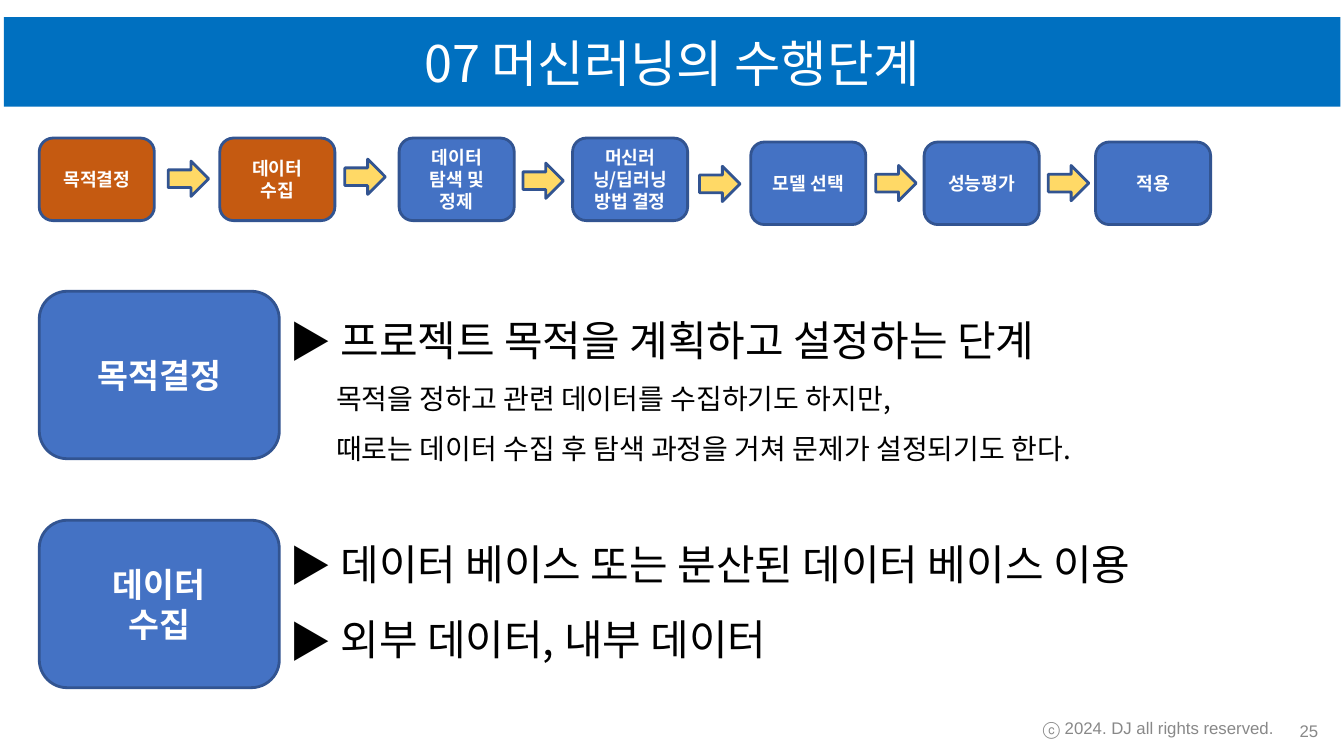
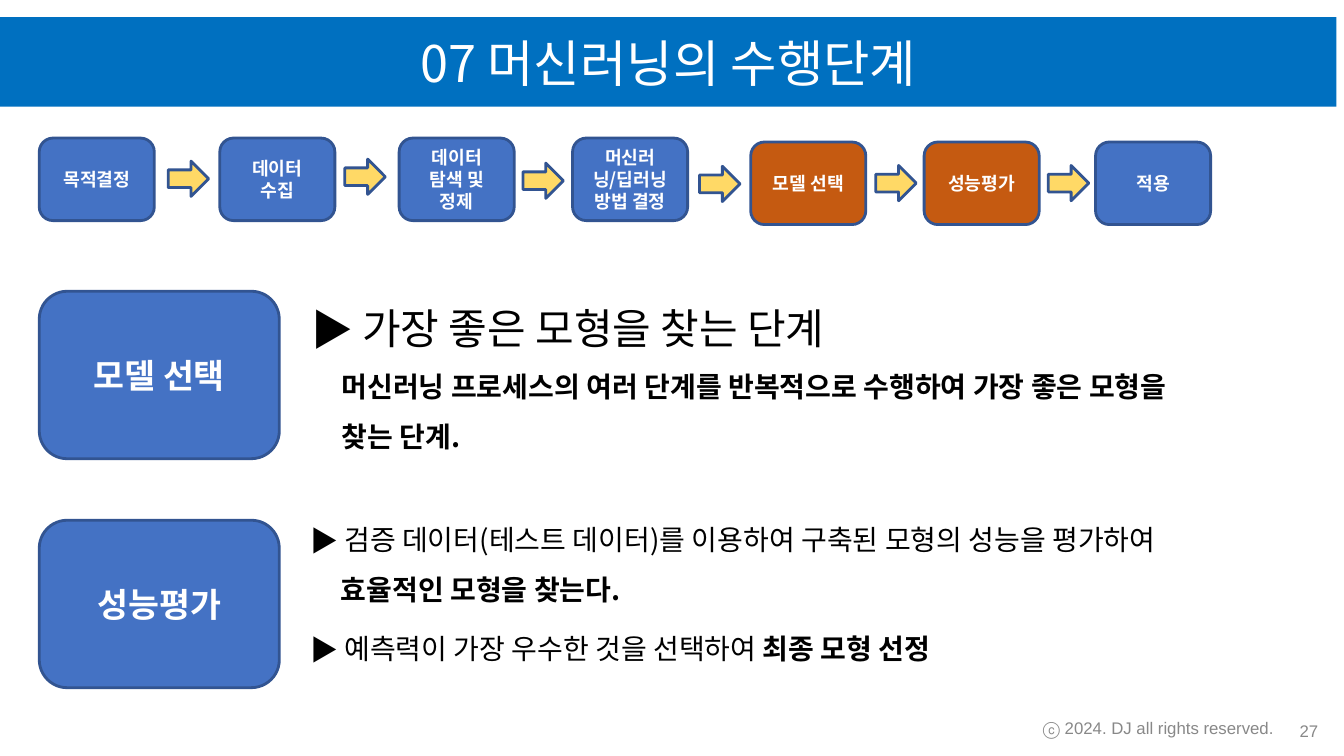
from lxml.etree import SubElement
from pptx import Presentation
from pptx.dml.color import RGBColor
from pptx.enum.shapes import MSO_SHAPE
from pptx.enum.text import MSO_ANCHOR, MSO_AUTO_SIZE, PP_ALIGN
from pptx.oxml.ns import qn
from pptx.util import Cm, Pt

STEPS = [
    ("목적결정", 0.99, 3.48),
    ("데이터\n수집", 5.54, 3.48),
    ("데이터 탐색 및 정제", 10.06, 3.48),
    ("머신러닝/딥러닝\n방법 결정", 14.43, 3.48),
    ("모델 선택", 18.92, 3.58),
    ("성능평가", 23.29, 3.58),
    ("적용", 27.61, 3.58),
]
ARROWS = [(4.24, 4.06), (8.69, 4.01), (13.18, 4.11),
          (17.63, 4.19), (22.07, 4.17), (26.42, 4.17)]
SECTION_TOPS = [7.34, 13.11]


def color(value):
    return RGBColor.from_string(value)


class Deck:
    FONT, FOOTER_FONT = "Noto Sans CJK KR", "Arial"
    BAND, BOX, ACTIVE = "0070C0", "4472C4", "C55A11"
    ARROW, OUTLINE = "FFD966", "325491"
    LIGHT, DARK, MUTED = "FFFFFF", "000000", "888888"
    HANG_PER_POINT = 0.043

    def __init__(self):
        self.presentation = Presentation()
        self.presentation.slide_width = Cm(33.87)
        self.presentation.slide_height = Cm(19.05)
        self.slide = None

    def style(self, paragraph, size, ink, bold=False, font=FONT, align=None):
        paragraph.alignment = align
        paragraph.font.size = Pt(size)
        paragraph.font.bold = bold
        paragraph.font.color.rgb = color(ink)
        paragraph.font.name = font
        defaults = paragraph._p.get_or_add_pPr().find(qn("a:defRPr"))
        SubElement(defaults, qn("a:ea")).set("typeface", font)

    def add_slide(self, band_left):
        layout = self.presentation.slide_layouts[5]
        self.slide = self.presentation.slides.add_slide(layout)
        title = self.slide.shapes.title
        title.left, title.top = Cm(band_left), Cm(0.43)
        title.width, title.height = Cm(33.68), Cm(2.26)
        title.fill.solid()
        title.fill.fore_color.rgb = color(self.BAND)
        frame = title.text_frame
        frame.text = "07 머신러닝의 수행단계"
        frame.auto_size = MSO_AUTO_SIZE.NONE
        frame.vertical_anchor = MSO_ANCHOR.MIDDLE
        self.style(frame.paragraphs[0], 36, self.LIGHT, align=PP_ALIGN.CENTER)

    def shape(self, kind, left, top, width, height, fill):
        shape = self.slide.shapes.add_shape(
            kind, Cm(left), Cm(top), Cm(width), Cm(height))
        shape.shadow.inherit = False
        shape.fill.solid()
        shape.fill.fore_color.rgb = color(fill)
        shape.line.color.rgb = color(self.OUTLINE)
        shape.line.width = Pt(2)
        return shape

    def box(self, text, left, top, width, height, size, fill):
        shape = self.shape(MSO_SHAPE.ROUNDED_RECTANGLE,
                           left, top, width, height, fill)
        frame = shape.text_frame
        frame.text = text
        frame.word_wrap = True
        frame.vertical_anchor = MSO_ANCHOR.MIDDLE
        for paragraph in frame.paragraphs:
            self.style(paragraph, size, self.LIGHT, True, align=PP_ALIGN.CENTER)

    def text_frame(self, left, top, width, height):
        text_box = self.slide.shapes.add_textbox(
            Cm(left), Cm(top), Cm(width), Cm(height))
        text_box.text_frame.word_wrap = True
        return text_box.text_frame

    def process(self, active):
        for text, left, top in STEPS:
            fill = self.ACTIVE if text in active else self.BOX
            self.box(text, left, top, 2.9, 2.08, 13, fill)
        for left, top in ARROWS:
            self.shape(MSO_SHAPE.RIGHT_ARROW, left, top, 1.02, 0.89, self.ARROW)

    def line(self, paragraph, size, runs, indent=None, space_before=0):
        properties = paragraph._p.get_or_add_pPr()
        paragraph.line_spacing = 1.5
        paragraph.space_before = Pt(space_before)
        if indent is None:
            hang = Cm(round(size * self.HANG_PER_POINT, 2))
            properties.set("marL", str(hang))
            properties.set("indent", str(-hang))
            SubElement(properties, qn("a:buFont")).set("typeface", self.FONT)
            SubElement(properties, qn("a:buChar")).set("char", "▶")
        else:
            properties.set("marL", str(Cm(indent)))
            properties.set("indent", "0")
        for text, bold in runs:
            run = paragraph.add_run()
            run.text = text
            if bold:
                run.font.bold = True
        self.style(paragraph, size, self.DARK)

    def section(self, heading, box_top, left, top, lines):
        self.box(heading, 0.99, box_top, 6.05, 4.22, 24, self.BOX)
        frame = self.text_frame(left, top, 25.9, 4.2)
        for index, line in enumerate(lines):
            paragraph = frame.add_paragraph() if index else frame.paragraphs[0]
            self.line(paragraph, **line)

    def footer_text(self, text, left, top, width, height, align):
        frame = self.text_frame(left, top, width, height)
        frame.text = text
        frame.vertical_anchor = MSO_ANCHOR.MIDDLE
        self.style(frame.paragraphs[0], 12, self.MUTED,
                   font=self.FOOTER_FONT, align=align)

    def footer(self, number):
        self.footer_text(str(number), 31.95, 17.98, 1.52, 0.86, PP_ALIGN.RIGHT)
        self.footer_text("ⓒ 2024. DJ all rights reserved.",
                         24.94, 17.78, 8.51, 1.12, PP_ALIGN.CENTER)

    def stage_slide(self, number, band_left, sections):
        self.add_slide(band_left)
        self.process([heading for heading, *_ in sections])
        for box_top, (heading, left, top, lines) in zip(SECTION_TOPS, sections):
            self.section(heading, box_top, left, top, lines)
        self.footer(number)


def line(size, *runs, bold=False, **options):
    pairs = [run if isinstance(run, tuple) else (run, bold) for run in runs]
    return {"size": size, "runs": pairs, **options}


def main():
    deck = Deck()
    deck.stage_slide(25, 0.1, [
        ("목적결정", 7.04, 7.16, [
            line(30, "프로젝트 목적을 계획하고 설정하는 단계"),
            line(20, "목적을 정하고 관련 데이터를 수집하기도 하지만,", indent=1.18),
            line(20, "때로는 데이터 수집 후 탐색 과정을 거쳐 문제가 설정되기도 한다.",
                 indent=1.18),
        ]),
        ("데이터\n수집", 7.04, 12.8, [
            line(30, "데이터 베이스 또는 분산된 데이터 베이스 이용"),
            line(30, "외부 데이터, 내부 데이터"),
        ]),
    ])
    deck.stage_slide(27, 0, [
        ("모델 선택", 7.59, 6.86, [
            line(30, "가장 좋은 모형을 찾는 단계"),
            line(20, "머신러닝 프로세스의 여러 단계를 반복적으로 수행하여 가장 좋은 모형을",
                 bold=True, indent=0.77),
            line(20, "찾는 단계.", bold=True, indent=0.77),
        ]),
        ("성능평가", 7.57, 12.62, [
            line(20, "검증 데이터(테스트 데이터)를 이용하여 구축된 모형의 성능을 평가하여"),
            line(20, "효율적인 모형을 찾는다.", bold=True, indent=0.77),
            line(20, "예측력이 가장 우수한 것을 선택하여 ", ("최종 모형 선정", True),
                 space_before=6),
        ]),
    ])
    deck.presentation.save("out.pptx")


if __name__ == "__main__":
    main()
